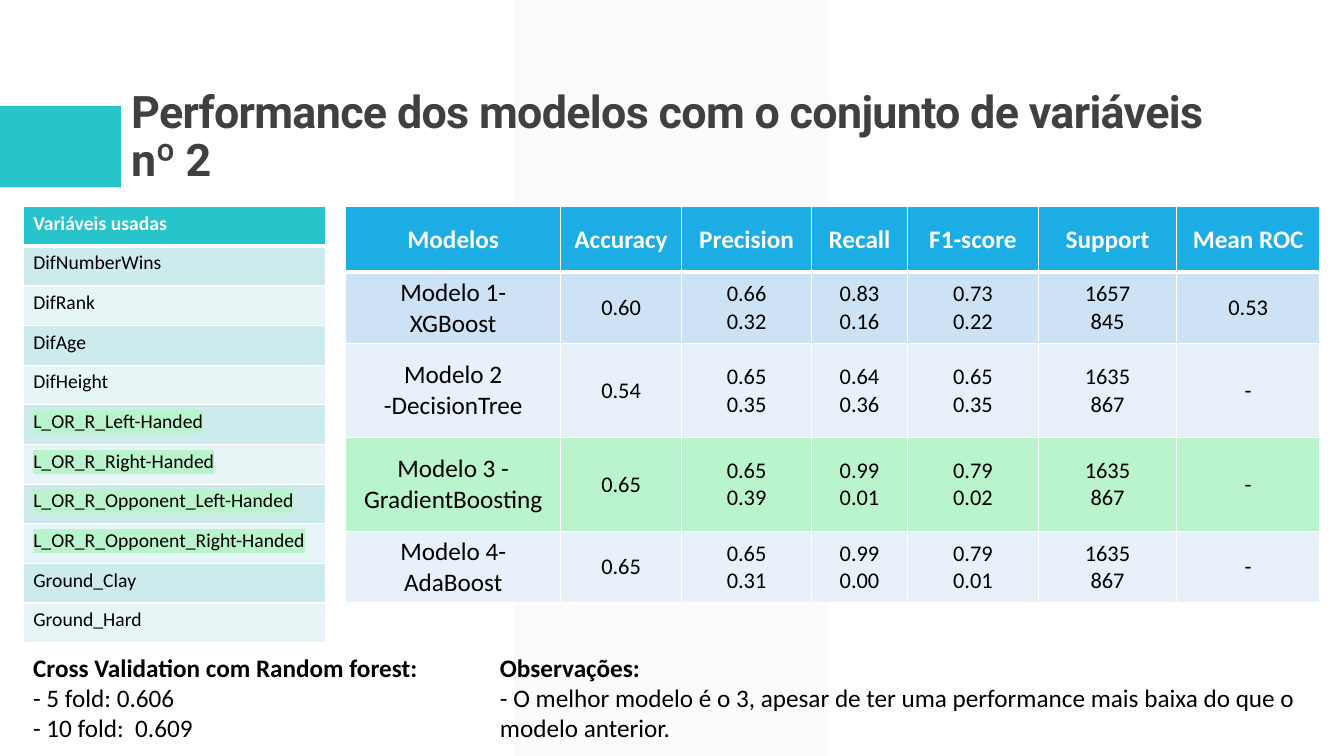
from dataclasses import dataclass

from lxml import etree
from pptx import Presentation
from pptx.dml.color import RGBColor
from pptx.enum.shapes import MSO_SHAPE
from pptx.enum.text import MSO_ANCHOR, MSO_AUTO_SIZE, PP_ALIGN
from pptx.oxml.ns import qn
from pptx.util import Inches, Pt

RECTANGLE, PARALLELOGRAM = MSO_SHAPE.RECTANGLE, MSO_SHAPE.PARALLELOGRAM
TOP, MIDDLE, BOTTOM = MSO_ANCHOR.TOP, MSO_ANCHOR.MIDDLE, MSO_ANCHOR.BOTTOM
LEFT, CENTER = PP_ALIGN.LEFT, PP_ALIGN.CENTER
NO_FIT = MSO_AUTO_SIZE.NONE


@dataclass(frozen=True)
class Theme:
    heading_font: str = "Roboto"
    body_font: str = "Calibri"
    white: str = "FFFFFF"
    black: str = "000000"
    heading: str = "404040"
    band: str = "F2F2F2"
    teal: str = "28C4CC"
    teal_rows: tuple = ("CDEAEC", "E8F5F6")
    blue: str = "1CADE4"
    blue_rows: tuple = ("CDE3F5", "E8F1FA")
    green: str = "BAF4CD"
    title_size: int = 32
    text_size: int = 18
    score_size: int = 16
    variable_size: int = 14


THEME = Theme()

MODEL_HEADER = ["Modelos", "Accuracy", "Precision", "Recall", "F1-score", "Support", "Mean ROC"]
MODEL_ROWS = [
    ["Modelo 1- XGBoost", "0.60", "0.66\n0.32", "0.83\n0.16", "0.73\n0.22", "1657\n845", "0.53"],
    ["Modelo 2 -DecisionTree", "0.54", "0.65\n0.35", "0.64\n0.36", "0.65\n0.35", "1635\n867", "-"],
    ["Modelo 3 - GradientBoosting", "0.65", "0.65\n0.39", "0.99\n0.01", "0.79\n0.02", "1635\n867", "-"],
    ["Modelo 4- AdaBoost", "0.65", "0.65\n0.31", "0.99\n0.00", "0.79\n0.01", "1635\n867", "-"],
]
BEST_MODEL = 3
VARIABLES = [
    "DifNumberWins", "DifRank", "DifAge", "DifHeight",
    "L_OR_R_Left-Handed", "L_OR_R_Right-Handed",
    "L_OR_R_Opponent_Left-Handed", "L_OR_R_Opponent_Right-Handed",
    "Ground_Clay", "Ground_Hard",
]


def apply_format(target, values):
    for name, value in values.items():
        setattr(target, name, value)


def add_span(para, text, size, color, bold=False, font=THEME.body_font):
    span = para.add_run()
    span.text = text
    span.font.color.rgb = RGBColor.from_string(color)
    apply_format(span.font, {"name": font, "size": Pt(size), "bold": bold})
    return span


def highlight(span, color):
    mark = etree.Element(qn("a:highlight"))
    etree.SubElement(mark, qn("a:srgbClr"), val=color)
    span.font._element.find(qn("a:solidFill")).addnext(mark)


def write_lines(frame, lines, size, color, bold=False, align=LEFT):
    """Write one paragraph per line and return the spans."""
    spans = []
    for index, line in enumerate(lines):
        para = frame.paragraphs[0] if index == 0 else frame.add_paragraph()
        para.alignment = align
        spans.append(add_span(para, line, size, color, bold))
    return spans


def add_block(page, shape_type, place, color, alpha=None):
    block = page.shapes.add_shape(shape_type, *map(Inches, place))
    block.shadow.inherit = False
    block.fill.solid()
    block.fill.fore_color.rgb = RGBColor.from_string(color)
    block.line.fill.background()
    if alpha is not None:
        tint = block._element.spPr.find(qn("a:solidFill"))[0]
        etree.SubElement(tint, qn("a:alpha"), val=str(alpha * 1000))
    return block


def set_borders(cell, bottom_width=1):
    properties = cell._tc.get_or_add_tcPr()
    widths = {"lnL": 1, "lnR": 1, "lnT": 1, "lnB": bottom_width}
    for index, (side, width) in enumerate(widths.items()):
        line = etree.Element(qn(f"a:{side}"), w=str(Pt(width)))
        fill = etree.SubElement(line, qn("a:solidFill"))
        etree.SubElement(fill, qn("a:srgbClr"), val=THEME.white)
        properties.insert(index, line)


def add_grid(page, left, top, widths, heights):
    frame = page.shapes.add_table(
        len(heights), len(widths), Inches(left), Inches(top),
        Inches(sum(widths)), Inches(sum(heights)))
    grid = frame.table
    for column, width in zip(grid.columns, widths):
        column.width = Inches(width)
    for row, height in zip(grid.rows, heights):
        row.height = Inches(height)
    return grid


def fill_cell(cell, text, fill, size, color, header, align, anchor):
    cell.vertical_anchor = anchor
    cell.fill.solid()
    cell.fill.fore_color.rgb = RGBColor.from_string(fill)
    set_borders(cell, 3 if header else 1)
    return write_lines(cell.text_frame, text.split("\n"), size, color, header, align)


def add_title(page, text):
    title = page.shapes.title
    apply_format(title, {"left": Inches(1.2), "top": Inches(0.31),
                         "width": Inches(11), "height": Inches(1.59)})
    apply_format(title.text_frame, {"word_wrap": True, "auto_size": NO_FIT,
                                    "vertical_anchor": BOTTOM})
    para = title.text_frame.paragraphs[0]
    apply_format(para, {"alignment": LEFT, "line_spacing": 0.9})
    span = add_span(para, text, THEME.title_size, THEME.heading, True, THEME.heading_font)
    span.font._element.set("spc", "-50")


def add_model_table(page):
    grid = add_grid(page, 3.43, 2.05, [2.13, 1.2, 1.29, 0.95, 1.3, 1.37, 1.42],
                    [0.65, 0.7, 0.93, 0.93, 0.7])
    for row, texts in enumerate([MODEL_HEADER] + MODEL_ROWS):
        header = row == 0
        fill = THEME.blue if header else THEME.blue_rows[(row - 1) % 2]
        if row == BEST_MODEL:
            fill = THEME.green
        color = THEME.white if header else THEME.black
        for column, text in enumerate(texts):
            size = THEME.text_size if header or column == 0 else THEME.score_size
            fill_cell(grid.cell(row, column), text, fill, size, color, header, CENTER, MIDDLE)


def add_variable_table(page):
    texts = ["Variáveis usadas"] + VARIABLES
    grid = add_grid(page, 0.23, 2.05, [3], [4.33 / len(texts)] * len(texts))
    for row, text in enumerate(texts):
        header = row == 0
        fill = THEME.teal if header else THEME.teal_rows[(row - 1) % 2]
        color = THEME.white if header else THEME.black
        spans = fill_cell(grid.cell(row, 0), text, fill, THEME.variable_size,
                          color, header, LEFT, TOP)
        if text.startswith("L_OR_R"):
            highlight(spans[0], THEME.green)


def add_note(page, left, width, lines):
    box = page.shapes.add_textbox(Inches(left), Inches(6.42), Inches(width), Inches(1.01))
    box.text_frame.word_wrap = True
    spans = write_lines(box.text_frame, lines, THEME.text_size, THEME.black)
    spans[0].font.bold = True


def main():
    deck = Presentation()
    apply_format(deck, {"slide_width": Inches(13.33), "slide_height": Inches(7.5)})
    page = deck.slides.add_slide(deck.slide_layouts[5])

    # Backdrop, moved behind the title
    band = add_block(page, PARALLELOGRAM, (5.1, 0, 3.12, 7.5), THEME.band, 30)
    band.adjustments[0] = 0
    tab = add_block(page, RECTANGLE, (0, 1.05, 1.2, 0.81), THEME.teal)
    for block in (band, tab):
        page.shapes.title._element.addprevious(block._element)

    # Title and tables
    add_title(page, "Performance dos modelos com o conjunto de variáveis nº 2")
    add_model_table(page)
    add_variable_table(page)

    # Notes
    add_note(page, 0.23, 4.52, ["Cross Validation com Random forest:",
                                "- 5 fold: 0.606", "- 10 fold:  0.609"])
    add_note(page, 4.86, 8.15, [
        "Observações:",
        "- O melhor modelo é o 3, apesar de ter uma performance mais baixa do que o modelo anterior."])

    deck.save("out.pptx")


if __name__ == "__main__":
    main()
